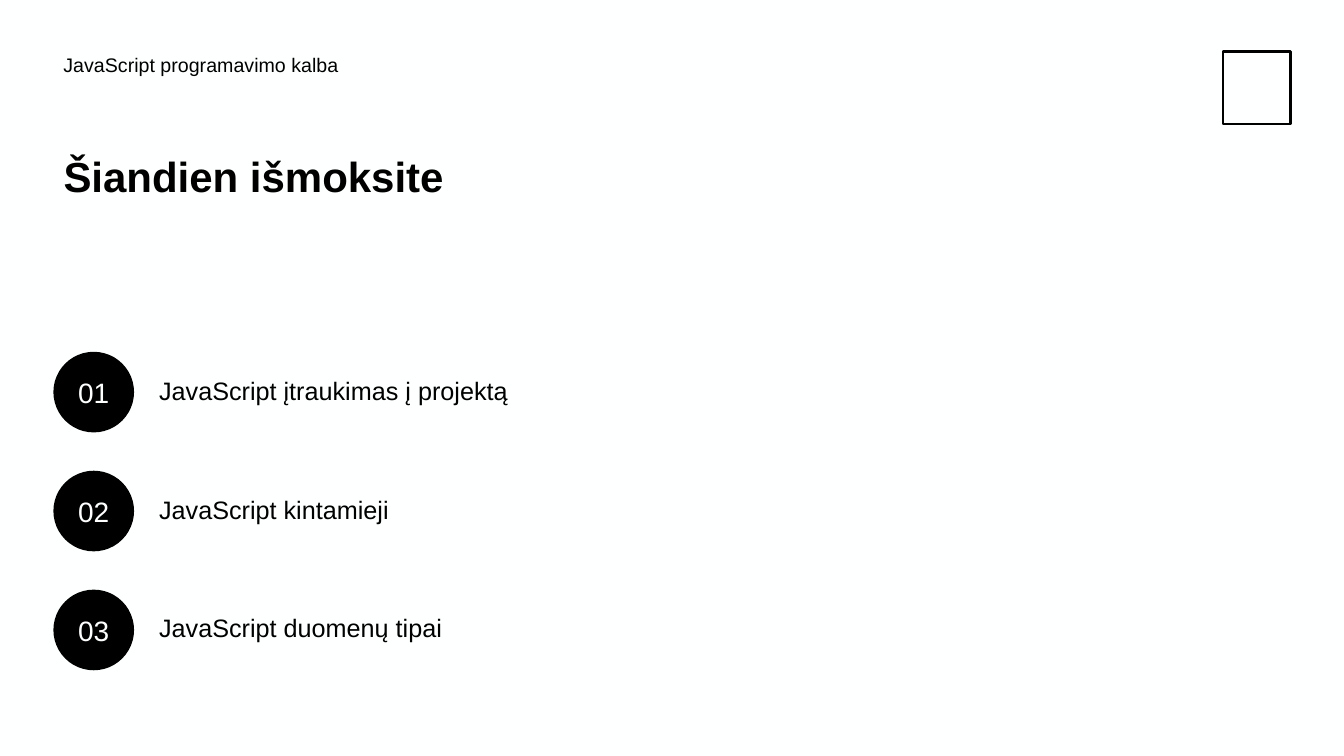
from pptx import Presentation
from pptx.dml.color import RGBColor
from pptx.enum.shapes import MSO_SHAPE
from pptx.enum.text import MSO_ANCHOR, MSO_AUTO_SIZE, PP_ALIGN
from pptx.util import Inches, Pt

BLACK = RGBColor(0x00, 0x00, 0x00)
WHITE = RGBColor(0xFE, 0xFF, 0xFF)
FONT = "Arial"
LEFT = 0.53
TOPICS = [
    "JavaScript įtraukimas į projektą",
    "JavaScript kintamieji",
    "JavaScript duomenų tipai",
]
FIRST_TOPIC_TOP = 3.49
TOPIC_STEP = 1.18
CIRCLE_SIZE = 0.8


class AgendaPage:
    """Holds the style and the current slide of the agenda."""

    def __init__(self, deck):
        self.page = deck.slides.add_slide(deck.slide_layouts[5])
        self.page.background.fill.solid()
        self.page.background.fill.fore_color.rgb = WHITE

    def fill_text(self, shape, text, size, color=BLACK, bold=False,
                  align=PP_ALIGN.LEFT, anchor=MSO_ANCHOR.TOP, spacing=1.0):
        frame = shape.text_frame
        frame.word_wrap = True
        frame.auto_size = MSO_AUTO_SIZE.NONE
        frame.vertical_anchor = anchor
        para = frame.paragraphs[0]
        para.alignment = align
        para.line_spacing = spacing
        span = para.add_run()
        span.text = text
        span.font.name = FONT
        span.font.size = Pt(size)
        span.font.bold = bold
        span.font.color.rgb = color

    def title(self, text, left, top, width, height):
        box = self.page.shapes.title
        box.left, box.top = Inches(left), Inches(top)
        box.width, box.height = Inches(width), Inches(height)
        self.fill_text(box, text, 30, bold=True, spacing=0.9)

    def text(self, text, left, top, width, height, size, spacing=1.0):
        box = self.page.shapes.add_textbox(
            Inches(left), Inches(top), Inches(width), Inches(height))
        self.fill_text(box, text, size, spacing=spacing)

    def circle(self, label, left, top, size):
        circle = self.page.shapes.add_shape(
            MSO_SHAPE.OVAL, Inches(left), Inches(top), Inches(size), Inches(size))
        circle.shadow.inherit = False
        circle.fill.solid()
        circle.fill.fore_color.rgb = BLACK
        circle.line.fill.background()
        self.fill_text(circle, label, 20, WHITE,
                       align=PP_ALIGN.CENTER, anchor=MSO_ANCHOR.MIDDLE)

    def emblem(self, left, top, width, height):
        emblem = self.page.shapes.add_shape(
            MSO_SHAPE.RECTANGLE, Inches(left), Inches(top), Inches(width), Inches(height))
        emblem.shadow.inherit = False
        emblem.fill.background()
        emblem.line.color.rgb = BLACK
        emblem.line.width = Pt(2)


def main():
    deck = Presentation()
    deck.slide_width, deck.slide_height = Inches(13.33), Inches(7.5)
    agenda = AgendaPage(deck)
    agenda.emblem(12.13, 0.51, 0.67, 0.72)
    agenda.text("JavaScript programavimo kalba", LEFT, 0.5, 7.42, 0.5, 14, spacing=0.9)
    agenda.title("Šiandien išmoksite", LEFT, 1.5, 5.64, 1.49)
    for index, topic in enumerate(TOPICS):
        top = FIRST_TOPIC_TOP + index * TOPIC_STEP
        agenda.text(topic, 1.48, top + 0.18, 4.63, 0.45, 18)
        agenda.circle(f"{index + 1:02d}", LEFT, top, CIRCLE_SIZE)
    deck.save("out.pptx")


if __name__ == "__main__":
    main()
